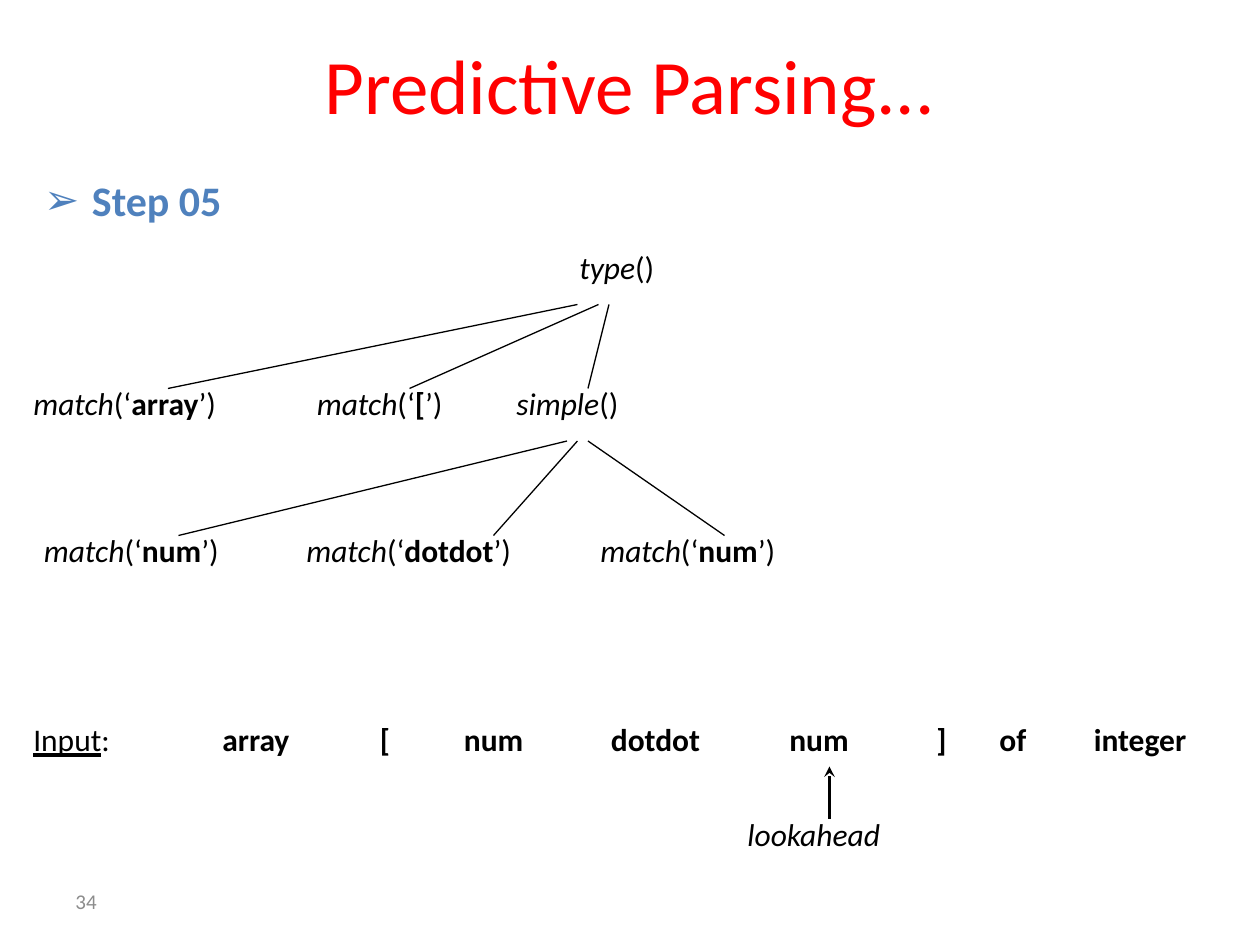
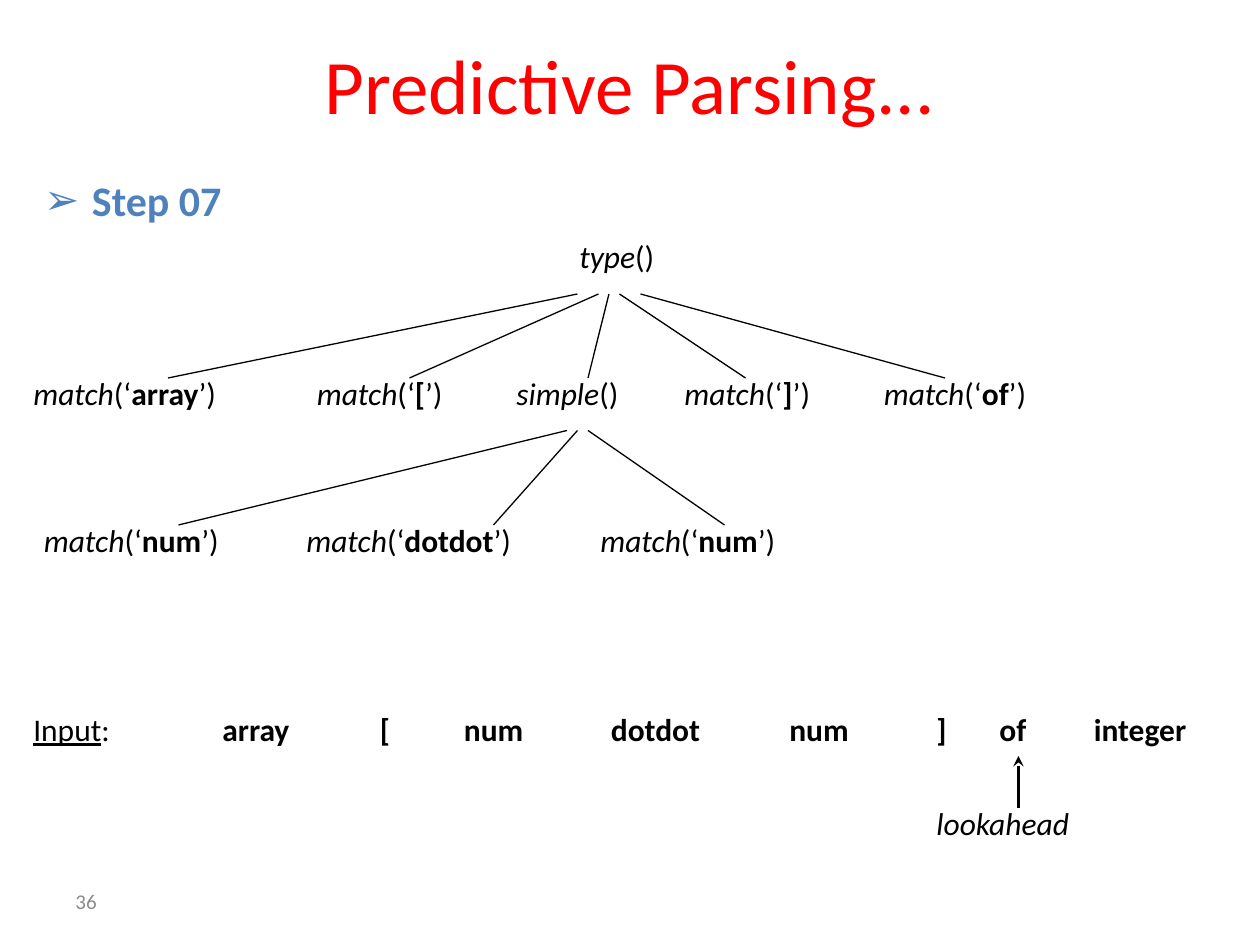
from dataclasses import dataclass

import pptx
import pptx.dml.color
import pptx.enum.shapes
import pptx.enum.text
import pptx.oxml.ns
import pptx.util
from lxml import etree

RED = pptx.dml.color.RGBColor(0xFF, 0x00, 0x00)
BLUE = pptx.dml.color.RGBColor(0x4F, 0x81, 0xBD)
BLACK = pptx.dml.color.RGBColor(0x00, 0x00, 0x00)
GREY = pptx.dml.color.RGBColor(0x8C, 0x8C, 0x8C)
FONT = "Calibri"

SLIDE_WIDTH = pptx.util.Inches(10)
SLIDE_HEIGHT = pptx.util.Inches(7.5)
COLUMNS, ROWS = 120, 90
LABEL_ROWS = 6
TREE_ROWS = 33
INPUT_OFFSET = 45

WORD_COLUMNS = {"array": 12, "[": 3.7, "]": 3.7, "num": 10.2, "dotdot": 13.6,
                "of": 5.8, "integer": 14.4}
MATCH_COLUMNS = 15.1

TYPE_CALLS = [("array", 2, 55, 16), ("[", 29, 57, 39), ("]", 64, 59, 71), ("of", 83, 61, 90)]
SIMPLE_CALLS = [("num", 3, 54, 17), ("dotdot", 28, 55, 47), ("num", 56, 56, 69)]
INPUT_TOKENS = [("array", 20), ("[", 35), ("num", 43), ("dotdot", 57), ("num", 74),
                ("]", 88), ("of", 94), ("integer", 103)]


@dataclass
class Box:
    """A region of the slide, in grid columns and rows."""
    left: float
    top: float
    width: float
    height: float

    def x(self, column):
        """Return the slide position of a column of this box."""
        return round(SLIDE_WIDTH * (self.left + column) / COLUMNS)

    def y(self, row):
        """Return the slide position of a row of this box."""
        return round(SLIDE_HEIGHT * (self.top + row) / ROWS)

    def inner(self, column, row, width, height=LABEL_ROWS):
        """Return a box placed inside this one."""
        return Box(self.left + column, self.top + row, width, height)

    def frame(self):
        """Return left, top, width and height as lengths."""
        left, top = self.x(0), self.y(0)
        return left, top, self.x(self.width) - left, self.y(self.height) - top


def style_font(font, size, color, bold=None):
    """Apply the deck's typeface with a size and colour."""
    font.name = FONT
    font.size = pptx.util.Pt(size)
    font.color.rgb = color
    font.bold = bold


def add_label(slide, box, *pieces):
    """Add a one-line label from (text, style) pieces."""
    text_frame = slide.shapes.add_textbox(*box.frame()).text_frame
    text_frame.word_wrap = False
    text_frame.auto_size = pptx.enum.text.MSO_AUTO_SIZE.SHAPE_TO_FIT_TEXT
    paragraph = text_frame.paragraphs[0]
    style_font(paragraph.font, 18, BLACK)
    for text, style in pieces:
        run = paragraph.add_run()
        run.text = text
        if style:
            setattr(run.font, style, True)


def add_line(slide, box, start, end, weight=0.75, arrow=False):
    """Draw a straight line between two grid points, with an arrow at the start if asked."""
    line = slide.shapes.add_connector(
        pptx.enum.shapes.MSO_CONNECTOR.STRAIGHT,
        box.x(start[0]), box.y(start[1]), box.x(end[0]), box.y(end[1]))
    line.line.color.rgb = BLACK
    line.line.width = pptx.util.Pt(weight)
    properties = line._element.spPr
    if arrow:
        outline = properties.find(pptx.oxml.ns.qn("a:ln"))
        etree.SubElement(outline, pptx.oxml.ns.qn("a:headEnd"), type="stealth")
    etree.SubElement(properties, pptx.oxml.ns.qn("a:effectLst"))


def draw_match_calls(slide, box, calls, parent_row, label_row):
    """Draw a row of match() calls with branches from their parent."""
    for word, column, branch_start, branch_end in calls:
        label = box.inner(column, label_row, MATCH_COLUMNS + WORD_COLUMNS[word])
        add_label(slide, label, ("match", "italic"), ("(‘", None), (word, "bold"), ("’)", None))
        add_line(slide, box, (branch_start, parent_row), (branch_end, label_row + 1))


def draw_call_tree(slide, box, type_calls):
    """Draw the tree of calls made from type() and simple()."""
    add_label(slide, box.inner(54, 0, 11.8), ("type", "italic"), ("()", None))
    add_label(slide, box.inner(48, 13, 15.5), ("simple", "italic"), ("()", None))
    add_line(slide, box, (58, 6), (56, 14))
    draw_match_calls(slide, box, type_calls, 6, 13)
    draw_match_calls(slide, box, SIMPLE_CALLS, 19, 27)


def draw_input(slide, box, lookahead_column):
    """Draw the input tokens and the lookahead pointer."""
    add_label(slide, box.inner(2, 0, 12), ("Input", "underline"), (":", None))
    for word, column in INPUT_TOKENS:
        add_label(slide, box.inner(column, 0, WORD_COLUMNS[word]), (word, "bold"))
    add_label(slide, box.inner(lookahead_column - 9, 9, 19.1), ("lookahead", "italic"))
    add_line(slide, box, (lookahead_column, 5), (lookahead_column, 10), 2, arrow=True)


def place(shape, box):
    """Move a placeholder into a box."""
    shape.left, shape.top, shape.width, shape.height = box.frame()


def draw_heading(slide, step):
    """Fill the title and the step bullet."""
    title = slide.shapes.title
    place(title, Box(6, 2, 108, 12))
    title.text_frame.text = "Predictive Parsing..."
    title.text_frame.vertical_anchor = pptx.enum.text.MSO_ANCHOR.MIDDLE
    heading = title.text_frame.paragraphs[0]
    heading.alignment = pptx.enum.text.PP_ALIGN.CENTER
    style_font(heading.font, 44, RED)

    body = slide.placeholders[1]
    place(body, Box(3, 16, 114, 65))
    body.text_frame.text = step
    bullet = body.text_frame.paragraphs[0]
    bullet.space_before = pptx.util.Pt(0)
    properties = bullet._p.get_or_add_pPr()
    indent = pptx.util.Inches(0.38)
    properties.set("marL", str(indent))
    properties.set("indent", str(-indent))
    etree.SubElement(properties, pptx.oxml.ns.qn("a:buChar"), char="➢")
    style_font(bullet.font, 24, BLUE, bold=True)


def draw_page_number(slide, box, number):
    """Write the page number at the foot of the slide."""
    text_frame = slide.shapes.add_textbox(*box.frame()).text_frame
    text_frame.word_wrap = True
    text_frame.vertical_anchor = pptx.enum.text.MSO_ANCHOR.MIDDLE
    text_frame.text = number
    style_font(text_frame.paragraphs[0].font, 12, GREY)


def add_step_slide(deck, step, number, tree_top, type_calls, lookahead_column):
    """Add one step of the predictive parse."""
    slide = deck.slides.add_slide(deck.slide_layouts[1])
    draw_heading(slide, step)
    draw_page_number(slide, Box(6, 83.4, 28, 4.8), number)
    draw_call_tree(slide, Box(0, tree_top, COLUMNS, TREE_ROWS), type_calls)
    draw_input(slide, Box(0, tree_top + INPUT_OFFSET, COLUMNS, 15), lookahead_column)


def main():
    """Build and save the deck."""
    deck = pptx.Presentation()
    deck.slide_width, deck.slide_height = SLIDE_WIDTH, SLIDE_HEIGHT
    add_step_slide(deck, "Step 05", "34", 23, TYPE_CALLS[:2], 79)
    add_step_slide(deck, "Step 07", "36", 22, TYPE_CALLS, 97)
    deck.save("out.pptx")


if __name__ == "__main__":
    main()
